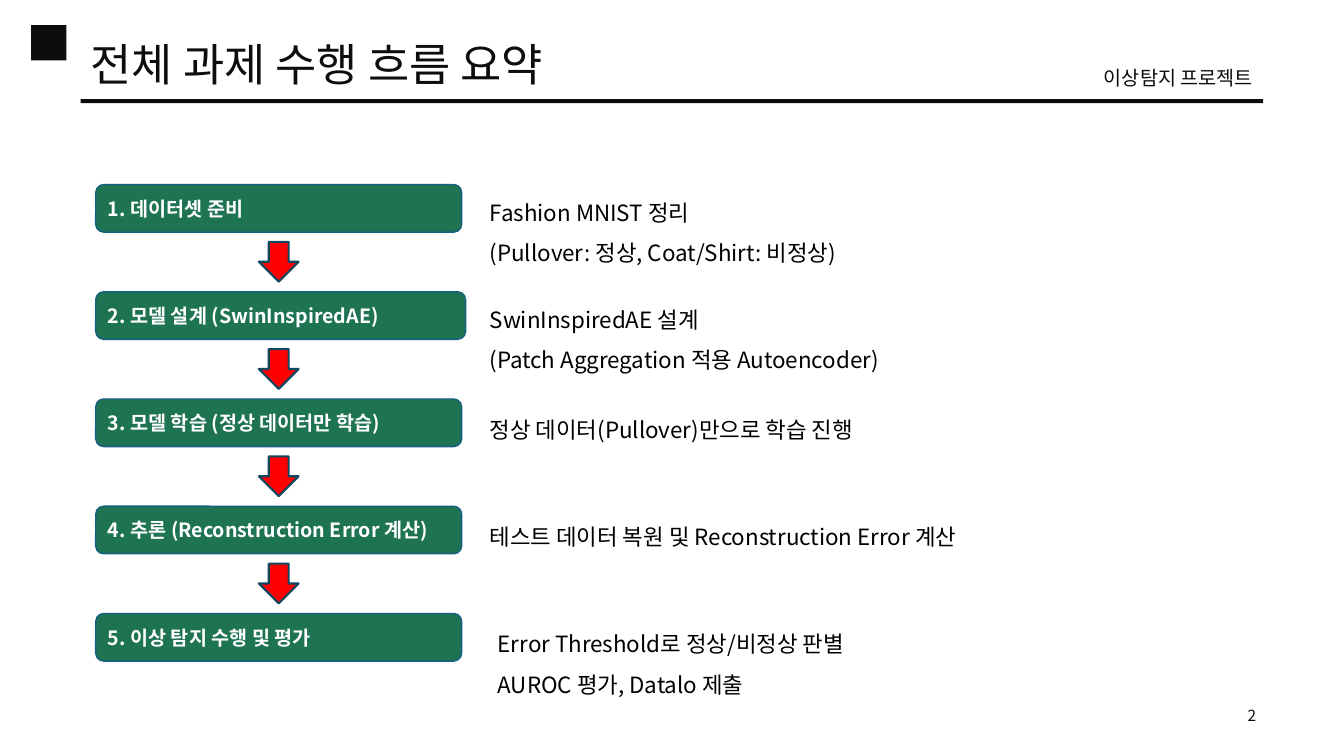
"""Build a slide that summarises the workflow of an anomaly detection project."""
from lxml.etree import SubElement
from pptx import Presentation
from pptx.dml.color import RGBColor
from pptx.enum.shapes import MSO_SHAPE as Shape
from pptx.enum.text import MSO_ANCHOR as Anchor, MSO_AUTO_SIZE as AutoSize, PP_ALIGN as Align
from pptx.oxml.ns import qn
from pptx.util import Pt

FONT = "Noto Sans CJK KR"
INK = RGBColor(0x0D, 0x0D, 0x0D)
BLACK = RGBColor(0x00, 0x00, 0x00)
WHITE = RGBColor(0xFF, 0xFF, 0xFF)
GREEN = RGBColor(0x1E, 0x74, 0x52)
STEP_EDGE = RGBColor(0x15, 0x60, 0x82)
RED = RGBColor(0xFF, 0x00, 0x00)
ARROW_EDGE = RGBColor(0x10, 0x47, 0x60)

STEP_LEFT, STEP_TOP, STEP_PITCH = 68.4, 131.8, 76.6
STEP_WIDTH, STEP_HEIGHT = 261.4, 34
ARROW_SIZE, ARROW_DROP = 28.4, 41
NOTE_WIDTH = 378

# step label, step width, note left, note offset from step top, note lines
STEPS = [
    ("1. 데이터셋 준비", STEP_WIDTH, 342.7, -3,
     ["Fashion MNIST 정리", "(Pullover: 정상, Coat/Shirt: 비정상)"]),
    ("2. 모델 설계 (SwinInspiredAE)", 264.2, 342.7, -3,
     ["SwinInspiredAE 설계", "(Patch Aggregation 적용 Autoencoder)"]),
    ("3. 모델 학습 (정상 데이터만 학습)", STEP_WIDTH, 342.7, -1,
     ["정상 데이터(Pullover)만으로 학습 진행"]),
    ("4. 추론 (Reconstruction Error 계산)", STEP_WIDTH, 342.7, -1,
     ["테스트 데이터 복원 및 Reconstruction Error 계산"]),
    ("5. 이상 탐지 수행 및 평가", STEP_WIDTH, 348.5, -1,
     ["Error Threshold로 정상/비정상 판별", "AUROC 평가, Datalo 제출"]),
]


def write_lines(frame, lines, size, color, align=Align.LEFT, spacing=1.0, bold=False):
    """Fill a text frame with one paragraph per line."""
    frame.word_wrap = True
    frame.auto_size = AutoSize.NONE
    for index, line in enumerate(lines):
        paragraph = frame.add_paragraph() if index else frame.paragraphs[0]
        paragraph.alignment = align
        paragraph.line_spacing = spacing
        run = paragraph.add_run()
        run.text = line
        run.font.size = Pt(size)
        run.font.bold = bold
        run.font.name = FONT
        run.font.color.rgb = color
        SubElement(run._r.get_or_add_rPr(), qn("a:ea"), typeface=FONT)


def add_text(slide, box, lines, size, color, **style):
    """Add a text box at box, given as left, top, width and height."""
    frame = slide.shapes.add_textbox(*map(Pt, box)).text_frame
    write_lines(frame, lines, size, color, **style)


def add_block(slide, kind, box, fill, edge=None, edge_width=1):
    """Add a filled preset shape, outlined when an edge colour is given."""
    block = slide.shapes.add_shape(kind, *map(Pt, box))
    block.shadow.inherit = False
    block.fill.solid()
    block.fill.fore_color.rgb = fill
    if edge is None:
        block.line.fill.background()
    else:
        block.line.color.rgb = edge
        block.line.width = Pt(edge_width)
    return block


def add_header(slide):
    """Add the title, project name, rule, corner mark and page number."""
    add_block(slide, Shape.RECTANGLE, (57.6, 70.8, 844.6, 2.9), INK)
    add_block(slide, Shape.RECTANGLE, (22.3, 18, 25.2, 25.2), INK)
    title = slide.shapes.title
    title.left, title.top, title.width, title.height = map(Pt, (57.6, 23, 425.5, 45.4))
    write_lines(title.text_frame, ["전체 과제 수행 흐름 요약"], 32, INK)
    title.text_frame.vertical_anchor = Anchor.MIDDLE
    add_text(slide, (735.8, 43.2, 166.3, 24.5), ["이상탐지 프로젝트"], 14, INK, align=Align.RIGHT)
    add_text(slide, (855.4, 501.1, 49, 20.9), ["2"], 11, INK, align=Align.RIGHT)


def add_step(slide, top, label, width):
    """Add the rounded box of one workflow step."""
    step = add_block(slide, Shape.ROUNDED_RECTANGLE,
                     (STEP_LEFT, top, width, STEP_HEIGHT), GREEN, STEP_EDGE)
    step.text_frame.vertical_anchor = Anchor.MIDDLE
    write_lines(step.text_frame, [label], 14, WHITE, bold=True)


def add_arrow(slide, top):
    """Add the arrow that leads from one step down to the next."""
    left = STEP_LEFT + (STEP_WIDTH - ARROW_SIZE) / 2
    add_block(slide, Shape.DOWN_ARROW, (left, top, ARROW_SIZE, ARROW_SIZE),
              RED, ARROW_EDGE, 1.5)


def main():
    """Create and save the presentation."""
    deck = Presentation()
    deck.slide_width, deck.slide_height = Pt(960), Pt(540)
    slide = deck.slides.add_slide(deck.slide_layouts[5])
    add_header(slide)
    for index, (label, width, note_left, note_shift, note) in enumerate(STEPS):
        top = STEP_TOP + index * STEP_PITCH
        add_step(slide, top, label, width)
        if index < len(STEPS) - 1:
            add_arrow(slide, top + ARROW_DROP)
        note_height = 6 + 29.2 * len(note)
        add_text(slide, (note_left, top + note_shift, NOTE_WIDTH, note_height),
                 note, 16, BLACK, spacing=1.5)
    deck.save("out.pptx")


if __name__ == "__main__":
    main()
